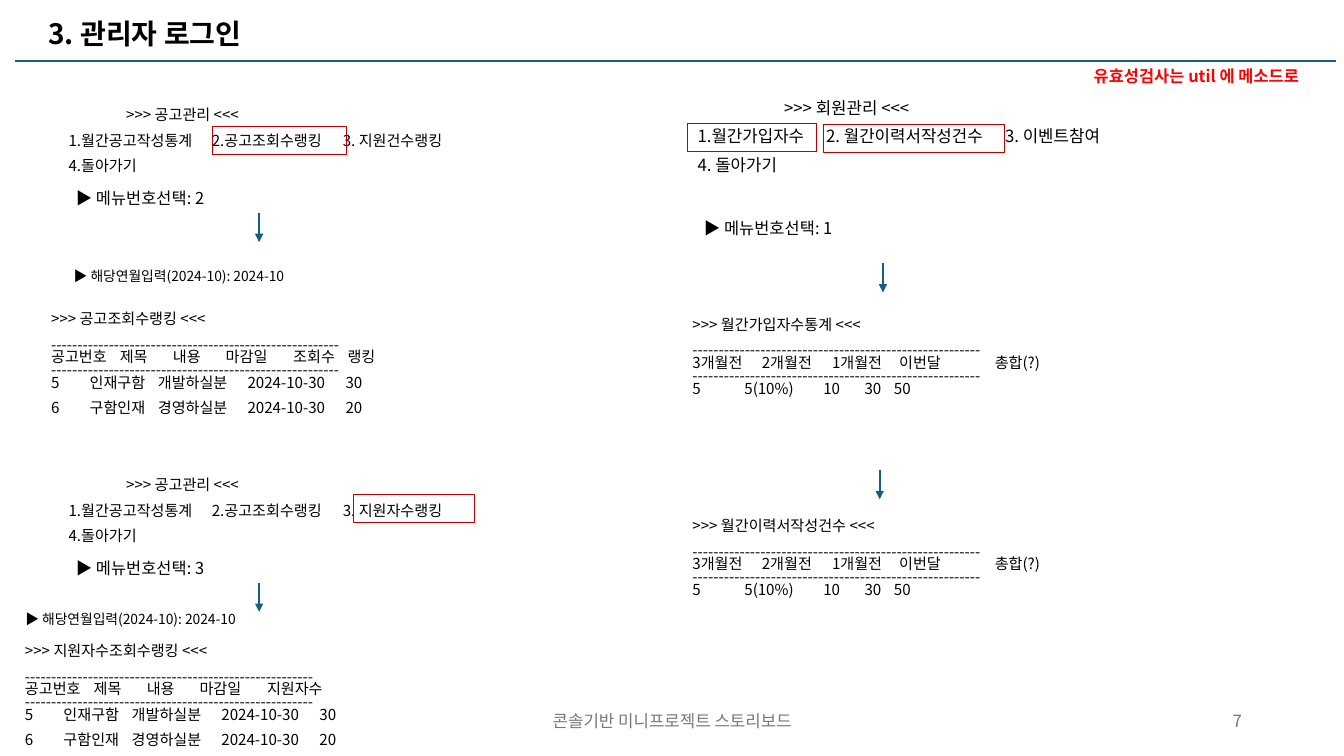
"""Build the administrator login page of a console project storyboard."""
from lxml.etree import SubElement
from pptx import Presentation
from pptx.dml.color import RGBColor as Rgb
from pptx.enum.shapes import MSO_CONNECTOR as Line, MSO_SHAPE as Preset
from pptx.enum.text import MSO_ANCHOR as Anchor, PP_ALIGN as Align
from pptx.oxml.ns import qn
from pptx.util import Cm, Pt

THEME = {
    "font": "Noto Sans CJK KR", "ink": "000000", "muted": "797979", "alert": "FF0000",
    "accent": "156082", "mark": "C00000", "title": 20, "large": 12, "prompt": 11.7,
    "body": 10.8, "input": 9.9, "rule": 1.5, "frame": 0.75,
}
RULE = "-" * 55
MONTH = "▶ 해당연월입력(2024-10): 2024-10"
NOTICES = ["인재구함\t개발하실분\t2024-10-30\t30", "구함인재\t경영하실분\t2024-10-30\t20"]
MONTHS = "3개월전\t2개월전\t1개월전\t이번달\t총합(?)"
COUNTS = "5\t5(10%)\t10\t30\t50"

LABELS = [
    ("콘솔기반 미니프로젝트 스토리보드", (11.23, 17.65, 11.43, 1.02), "large", "muted", Align.CENTER, Anchor.MIDDLE, 1, False),
    ("7", (23.93, 17.65, 7.62, 1.02), "large", "muted", Align.RIGHT, Anchor.MIDDLE, 1, False),
    ("3. 관리자 로그인", (0.97, 0.41, 9.96, 0.97), "title", "ink", Align.LEFT, Anchor.MIDDLE, 0.9, True),
    ("유효성검사는 util 에 메소드로", (26.95, 1.55, 6.4, 0.74), "prompt", "alert", Align.CENTER, Anchor.BOTTOM, 0.9, True),
]
PROMPTS = [
    ("▶ 메뉴번호선택: 2", 0.33, 4.62, "prompt", 0.9),
    ("▶ 메뉴번호선택: 3", 0.33, 13.94, "prompt", 0.9),
    ("▶ 메뉴번호선택: 1", 16.16, 5.38, "prompt", 0.9),
    (MONTH, 1.31, 6.55, "input", 0.8),
    (MONTH, 0.09, 15.19, "input", 0.8),
]
MENUS = [
    (">>> 공고관리 <<<", "1.월간공고작성통계\t2.공고조회수랭킹\t3. 지원건수랭킹", "4.돌아가기", 1.48, 2.8, "body", 9.1, 1.45, (3.61, 6.91)),
    (">>> 공고관리 <<<", "1.월간공고작성통계\t2.공고조회수랭킹\t3. 지원자수랭킹", "4.돌아가기", 1.48, 12.12, "body", 9.1, 1.45, (3.61, 6.91)),
    (">>> 회원관리 <<<", "1.월간가입자수\t2. 월간이력서작성건수\t3. 이벤트참여", "4. 돌아가기", 17.33, 2.62, "large", 10.1, 2.18, (3.24, 7.75)),
]
RANKINGS = [
    (">>> 공고조회수랭킹 <<<", "공고번호\t제목\t내용\t마감일\t조회수\t랭킹", 1.04, 7.94),
    (">>> 지원자수조회수랭킹 <<<", "공고번호\t제목\t내용\t마감일\t지원자수", 0.38, 16.3),
]
STATISTICS = [(">>> 월간가입자수통계 <<<", 17.2, 8.08), (">>> 월간이력서작성건수 <<<", 17.2, 13.15)]
FRAMES = [(5.36, 3.2, 3.38), (8.92, 12.47, 3.05), (17.32, 3.12, 3.25), (20.75, 3.15, 4.57)]
ARROWS = [(6.53, 5.36), (6.53, 14.68), (22.25, 6.63), (22.17, 11.84)]
PITCH = 9.1
RANK_TABS, NOTICE_TABS = (1.73, 3.07, 4.4, 6.1, 7.47), (2.69, 4.95, 7.42)
MONTH_TABS, COUNT_TABS = (1.75, 3.52, 5.21, 7.62), (1.31, 3.3, 4.34, 5.08)


def apply(target, formats):
    for name, value in formats.items():
        setattr(target, name, value)


def color(name):
    return Rgb.from_string(THEME[name])


def write(paragraph, text, size, ink="ink", bold=False, **formats):
    apply(paragraph, formats)
    run = paragraph.add_run()
    run.text = text
    apply(run.font, {"name": THEME["font"], "size": Pt(THEME[size]), "bold": bold})
    run.font.color.rgb = color(ink)
    SubElement(run.font._element, qn("a:ea"), typeface=THEME["font"])


def add_frame(slide, box, anchor):
    frame = slide.shapes.add_textbox(*map(Cm, box)).text_frame
    apply(frame, {"word_wrap": True, "vertical_anchor": anchor})
    return frame


def add_listing(slide, left, top, size, pitch, lines):
    """Write lines of (text, blank lines before, tabs, indent, numbered)."""
    frame = add_frame(slide, (left, top, 11.96, 2.9), Anchor.TOP)
    frame.margin_top = 0
    for index, (text, gap, tabs, indent, numbered) in enumerate(lines):
        paragraph = frame.add_paragraph() if index else frame.paragraphs[0]
        write(paragraph, text, size, line_spacing=Pt(pitch), space_before=Pt(pitch * gap))
        properties = paragraph._p.get_or_add_pPr()
        if indent:
            properties.set("marL", str(Cm(indent)))
        if numbered:
            properties.set("indent", str(-Cm(indent)))
            SubElement(properties, qn("a:buAutoNum"), type="arabicPlain", startAt="5")
        if tabs:
            stops = SubElement(properties, qn("a:tabLst"))
            for stop in tabs:
                SubElement(stops, qn("a:tab"), pos=str(Cm(stop)), algn="l")


def table_head(title, header, tabs):
    return [(title, 0, (), 0, False), (RULE, 1, (), 0, False),
            (header, 0, tabs, 0, False), (RULE, 0, (), 0, False)]


def add_line(slide, x1, y1, x2, y2, arrow=False):
    connector = slide.shapes.add_connector(Line.STRAIGHT, *map(Cm, (x1, y1, x2, y2)))
    connector.line.width = Pt(THEME["rule"])
    connector.line.color.rgb = color("accent")
    if arrow:
        SubElement(connector.line._get_or_add_ln(), qn("a:tailEnd"), type="triangle")
    SubElement(connector._element.spPr, qn("a:effectLst"))


def main():
    deck = Presentation()
    apply(deck, {"slide_width": Cm(33.87), "slide_height": Cm(19.05)})
    slide = deck.slides.add_slide(deck.slide_layouts[6])

    add_line(slide, 0.38, 1.54, 33.66, 1.54)
    for text, box, size, ink, align, anchor, spacing, bold in LABELS:
        write(add_frame(slide, box, anchor).paragraphs[0], text, size, ink, bold,
              alignment=align, line_spacing=spacing)
    for text, left, top, size, spacing in PROMPTS:
        frame = add_frame(slide, (left, top, 6.4, 0.74), Anchor.BOTTOM)
        write(frame.paragraphs[0], text, size, alignment=Align.CENTER, line_spacing=spacing)
    for title, choices, back, left, top, size, pitch, indent, tabs in MENUS:
        lines = [(title, 0, (), indent, False), (choices, 1, tabs, 0, False), (back, 1, (), 0, False)]
        add_listing(slide, left, top, size, pitch, lines)
    for title, header, left, top in RANKINGS:
        rows = [(row, index, NOTICE_TABS, 0.97, True) for index, row in enumerate(NOTICES)]
        add_listing(slide, left, top, "body", PITCH, table_head(title, header, RANK_TABS) + rows)
    for title, left, top in STATISTICS:
        lines = table_head(title, MONTHS, MONTH_TABS) + [(COUNTS, 0, COUNT_TABS, 0, False)]
        add_listing(slide, left, top, "body", PITCH, lines)
    for left, top, width in FRAMES:
        mark = slide.shapes.add_shape(Preset.RECTANGLE, *map(Cm, (left, top, width, 0.69)))
        mark.shadow.inherit = False
        mark.fill.background()
        mark.line.width = Pt(THEME["frame"])
        mark.line.color.rgb = color("mark")
    for x, top in ARROWS:
        add_line(slide, x, top, x, top + 0.74, arrow=True)
    deck.save("out.pptx")


if __name__ == "__main__":
    main()
